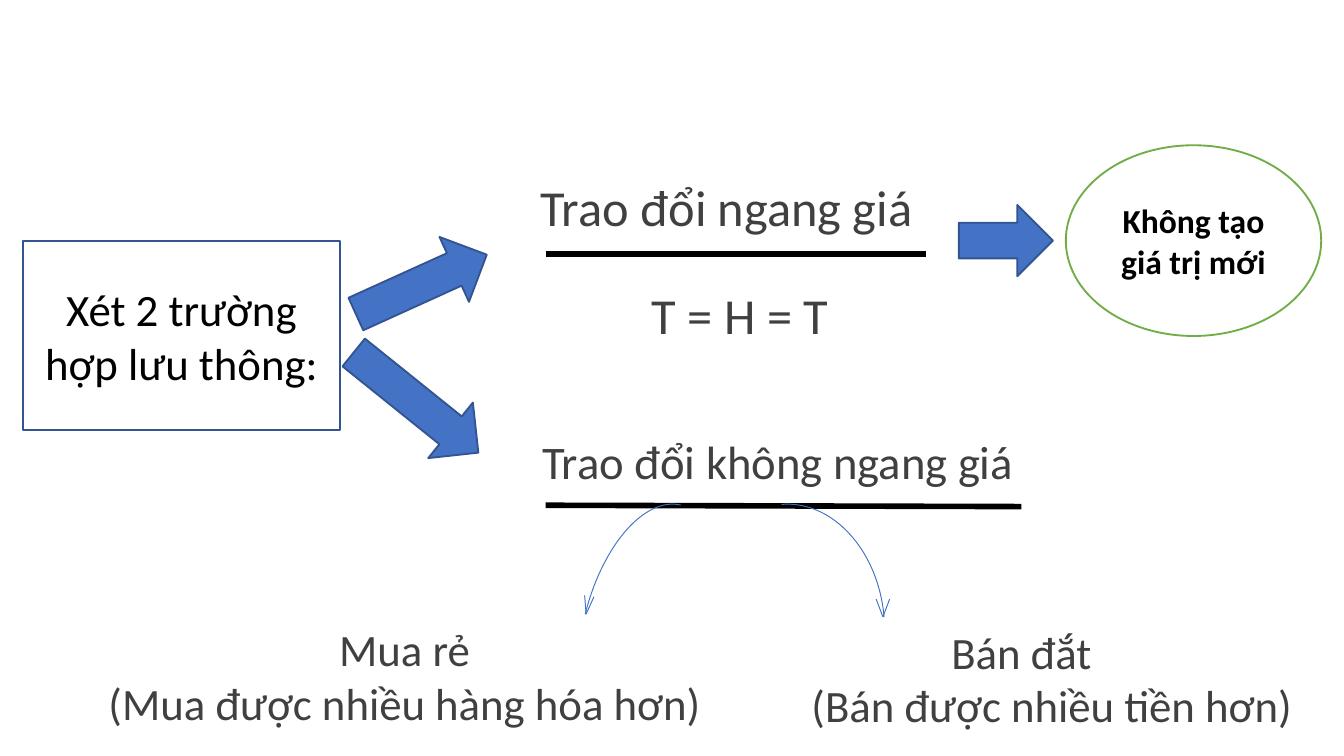
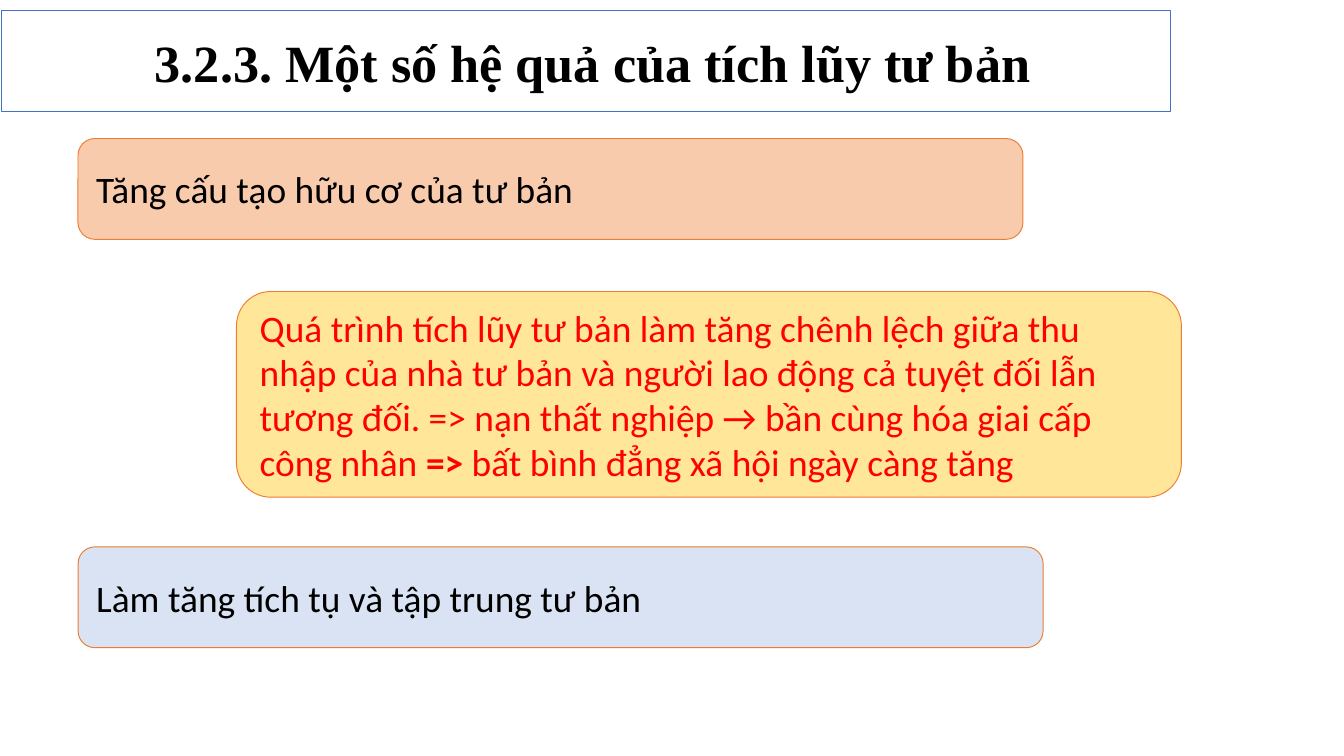
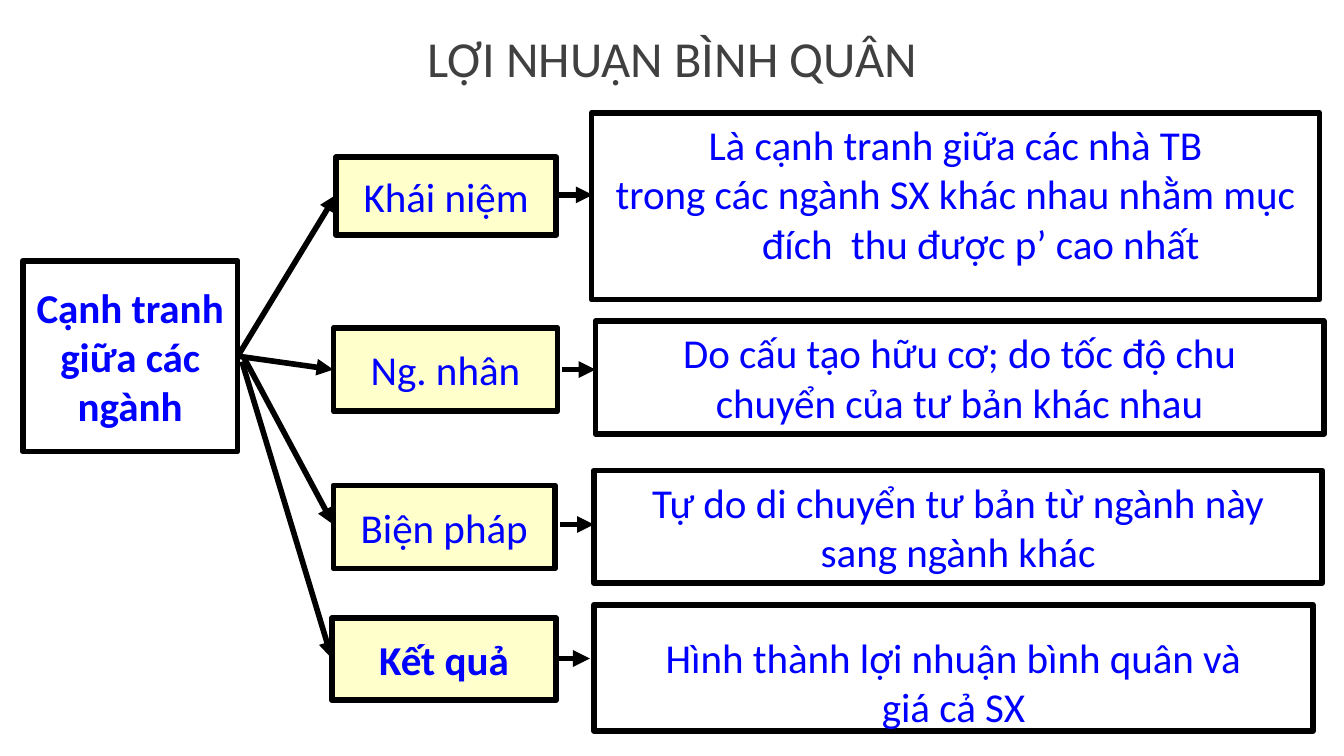
from dataclasses import dataclass
from typing import NamedTuple

from pptx import Presentation
from pptx.dml.color import RGBColor
from pptx.enum.shapes import MSO_CONNECTOR as Connector, MSO_SHAPE as Preset
from pptx.enum.text import MSO_ANCHOR as Anchor, MSO_AUTO_SIZE as AutoSize, PP_ALIGN as Align
from pptx.oxml.ns import qn
from pptx.util import Pt
from lxml.etree import SubElement

# Shared colours and fonts
BLACK = RGBColor(0x00, 0x00, 0x00)
WHITE = RGBColor(0xFF, 0xFF, 0xFF)
GRAY = RGBColor(0x40, 0x40, 0x40)
BLUE = RGBColor(0x44, 0x72, 0xC4)
DARK_BLUE = RGBColor(0x32, 0x54, 0x91)
PURE_BLUE = RGBColor(0x00, 0x00, 0xFF)
GREEN = RGBColor(0x70, 0xAD, 0x47)
ORANGE = RGBColor(0xED, 0x7D, 0x31)
PEACH = RGBColor(0xF8, 0xCB, 0xAD)
PALE_BLUE = RGBColor(0xDA, 0xE3, 0xF3)
GOLD = RGBColor(0xFF, 0xE6, 0x99)
CREAM = RGBColor(0xFF, 0xFF, 0xCC)
RED = RGBColor(0xFF, 0x00, 0x00)
FONT = "Calibri"
TITLE_FONT = "Times New Roman"

TITLE_AND_BODY, TITLE_ONLY = 1, 5


class Box(NamedTuple):
    left: float
    top: float
    width: float
    height: float


class Point(NamedTuple):
    x: float
    y: float


class Segment(NamedTuple):
    text: str
    bold: bool = False


@dataclass
class Curve:
    box: Box
    rotation: float
    mirrored: bool
    tip: Point
    barbs: tuple[Point, Point]


@dataclass
class Consequence:
    box: Box
    fill: RGBColor
    lines: list
    color: RGBColor = BLACK
    align: Align = Align.JUSTIFY


@dataclass
class Aspect:
    name: str
    label: Box
    detail: Box
    lines: list[str]
    link_y: float
    link_start: float
    link_end: float
    fan_start: Point
    bold: bool = False
    hanging: float = 0
    top_inset: float = 3.6
    bottom_inset: float = 3.6
    anchor: Anchor = Anchor.TOP


# Drawing functions
def write_text(shape, lines: list, *, size: float, color: RGBColor = BLACK, font: str = FONT,
               bold: bool = False, align: Align = Align.CENTER, anchor: Anchor = Anchor.MIDDLE,
               spacing: float = 1.0, indents: tuple = (), first_indent: float = 0,
               wrap: bool = True, insets: tuple = (7.2, 3.6, 7.2, 3.6)) -> None:
    """Fill a shape; each line is a string or a tuple of segments."""
    frame = shape.text_frame
    frame.auto_size = AutoSize.NONE
    frame.word_wrap = wrap
    frame.vertical_anchor = anchor
    (frame.margin_left, frame.margin_top,
     frame.margin_right, frame.margin_bottom) = map(Pt, insets)
    for index, line in enumerate(lines):
        paragraph = frame.add_paragraph() if index else frame.paragraphs[0]
        paragraph.alignment = align
        paragraph.line_spacing = spacing
        paragraph.space_before = Pt(0)
        properties = paragraph._p.get_or_add_pPr()
        properties.set("marL", str(Pt(indents[index] if indents else 0)))
        properties.set("indent", str(Pt(first_indent)))
        SubElement(properties, qn("a:buNone"))
        segments = (Segment(line, bold),) if isinstance(line, str) else line
        for segment in segments:
            run = paragraph.add_run()
            run.text = segment.text
            run.font.name = font
            run.font.size = Pt(size)
            run.font.bold = segment.bold
            run.font.color.rgb = color


def place(shape, box: Box) -> None:
    shape.left, shape.top, shape.width, shape.height = map(Pt, box)


def add_preset(shapes, preset: Preset, box: Box, *, line: RGBColor, weight: float,
               fill: RGBColor | None = None, rotation: float = 0):
    shape = shapes.add_shape(preset, *map(Pt, box))
    shape.shadow.inherit = False
    shape.rotation = rotation
    if fill is None:
        shape.fill.background()
    else:
        shape.fill.solid()
        shape.fill.fore_color.rgb = fill
    shape.line.color.rgb = line
    shape.line.width = Pt(weight)
    return shape


def add_line(shapes, start: Point, end: Point, *, color: RGBColor = BLACK,
             weight: float = 3, arrow: bool = False) -> None:
    connector = shapes.add_connector(Connector.STRAIGHT, *map(Pt, (*start, *end)))
    connector.line.color.rgb = color
    connector.line.width = Pt(weight)
    if arrow:
        SubElement(connector.line._get_or_add_ln(), qn("a:tailEnd"), type="triangle")
    SubElement(connector.element.spPr, qn("a:effectLst"))


def add_curve(slide, curve: Curve) -> None:
    shapes = slide.shapes.add_group_shape().shapes
    arc = add_preset(shapes, Preset.ARC, curve.box, line=BLUE, weight=0.5,
                     rotation=curve.rotation)
    if curve.mirrored:
        arc.element.spPr.find(qn("a:xfrm")).set("flipH", "1")
    for barb in curve.barbs:
        add_line(shapes, barb, curve.tip, color=BLUE, weight=0.5)


def add_note(slide, box: Box, lines: list[str], **text_format) -> None:
    textbox = slide.shapes.add_textbox(*map(Pt, box))
    write_text(textbox, lines, color=GRAY, **text_format)


# Slide 1: two cases of circulation
def build_circulation(presentation) -> None:
    slide = presentation.slides.add_slide(presentation.slide_layouts[TITLE_AND_BODY])
    shapes = slide.shapes
    title = shapes.title.element
    title.getparent().remove(title)

    cases = add_preset(shapes, Preset.RECTANGLE, Box(12.2, 129, 170, 101.5),
                       line=DARK_BLUE, weight=1)
    write_text(cases, ["Xét 2 trường", "hợp lưu thông:"], size=24)
    result = add_preset(shapes, Preset.OVAL, Box(571, 77.8, 136.8, 102.2),
                        line=GREEN, weight=1, fill=WHITE)
    write_text(result, ["Không tạo giá trị mới"], size=18, bold=True)

    for box, rotation in ((Box(206.6, 113.8, 38.2, 77), 245.6),
                          (Box(203.8, 172.8, 38.2, 85.7), 308.8),
                          (Box(519.8, 103.7, 38.2, 50.4), 270)):
        add_preset(shapes, Preset.DOWN_ARROW, box, line=DARK_BLUE, weight=1,
                   fill=BLUE, rotation=rotation)

    # Headings with their underlines
    equal = slide.placeholders[1]
    place(equal, Box(268.6, 90, 241.2, 45.4))
    write_text(equal, ["Trao đổi ngang giá"], size=27, color=GRAY, spacing=0.9)
    add_note(slide, Box(275.8, 147.6, 241.2, 45.4), ["T = H = T"], size=27, spacing=0.9)
    add_note(slide, Box(268.6, 226, 296, 45.4), ["Trao đổi không ngang giá"],
             size=25, spacing=0.9)
    add_line(shapes, Point(292.3, 136), Point(496, 136))
    add_line(shapes, Point(292.3, 270.7), Point(547.2, 271.4))

    # Curved arrows to the two outcomes
    add_curve(slide, Curve(Box(374.4, 270, 99.4, 129.6), 355.2, False, Point(473, 330.5),
                           (Point(469.4, 321), Point(476.6, 321))))
    add_curve(slide, Curve(Box(312.5, 268.6, 71.3, 138.2), 13.9, True, Point(314, 329),
                           (Point(318.2, 319.7), Point(313.2, 319))))
    add_note(slide, Box(33.1, 339.1, 367.2, 45.4),
             ["Mua rẻ", "(Mua được nhiều hàng hóa hơn)"], size=24)
    add_note(slide, Box(363.6, 340.6, 367.2, 45.4),
             ["Bán đắt", "(Bán được nhiều tiền hơn)"], size=24, indents=(0, 32.5))


# Slide 2: consequences of capital accumulation
CONSEQUENCES = [
    Consequence(Box(41.8, 74.2, 506.2, 54), PEACH, ["Tăng cấu tạo hữu cơ của tư bản"]),
    Consequence(Box(41.8, 293, 517, 54), PALE_BLUE, ["Làm tăng tích tụ và tập trung tư bản"]),
    Consequence(Box(126.7, 156.2, 506.2, 110.2), GOLD, [
        "Quá trình tích lũy tư bản làm tăng chênh lệch giữa thu",
        "nhập của nhà tư bản và người lao động cả tuyệt đối lẫn",
        "tương đối. => nạn thất nghiệp → bần cùng hóa giai cấp",
        (Segment("công nhân "), Segment("=> ", True),
         Segment("bất bình đẳng xã hội ngày càng tăng")),
    ], RED, Align.LEFT),
]


def build_consequences(presentation) -> None:
    slide = presentation.slides.add_slide(presentation.slide_layouts[TITLE_ONLY])
    title = slide.shapes.title
    place(title, Box(0.7, 5.8, 626.4, 54))
    title.line.color.rgb = BLUE
    title.line.width = Pt(0.5)
    write_text(title, ["3.2.3. Một số hệ quả của tích lũy tư bản"], size=28,
               font=TITLE_FONT, bold=True, indents=(7,))
    for item in CONSEQUENCES:
        panel = add_preset(slide.shapes, Preset.FLOWCHART_ALTERNATE_PROCESS, item.box,
                           line=ORANGE, weight=0.5, fill=item.fill)
        write_text(panel, item.lines, size=20, color=item.color, align=item.align)


# Slide 3: average profit
ASPECTS = [
    Aspect("Khái niệm", Box(180, 84.2, 118, 41.8), Box(316.8, 60.5, 390.2, 100),
           ["Là cạnh tranh giữa các nhà TB",
            "trong các ngành SX khác nhau nhằm mục đích  thu được p’ cao nhất"],
           104.4, 299.5, 317.5, Point(127.4, 190.8), hanging=27),
    Aspect("Ng. nhân", Box(178.6, 175.7, 120.2, 44.6), Box(319, 172.1, 390.2, 60.5),
           ["Do cấu tạo hữu cơ; do tốc độ chu", "chuyển của tư bản khác nhau"],
           198, 301, 319, Point(127.4, 190.8)),
    Aspect("Biện pháp", Box(178.6, 260, 118.8, 44.6), Box(318.2, 252, 390.2, 60.5),
           ["Tự do di chuyển tư bản từ ngành này", "sang ngành khác"],
           281, 300.2, 318.2, Point(130.3, 190.8)),
    Aspect("Kết quả", Box(177.8, 331.2, 120.2, 44), Box(318.2, 324, 385.2, 67.7),
           ["Hình thành lợi nhuận bình quân và", "giá cả SX"],
           352.8, 296, 316, Point(129.6, 193.7), bold=True,
           top_inset=14.4, bottom_inset=0, anchor=Anchor.MIDDLE),
]


def build_average_profit(presentation) -> None:
    slide = presentation.slides.add_slide(presentation.slide_layouts[TITLE_ONLY])
    shapes = slide.shapes
    place(shapes.title, Box(0, 10, 720, 45.4))
    write_text(shapes.title, ["LỢI NHUẬN BÌNH QUÂN"], size=27, color=GRAY, spacing=0.9)

    def add_box(box: Box, fill: RGBColor, lines: list[str], **text_format) -> None:
        shape = add_preset(shapes, Preset.RECTANGLE, box, line=BLACK, weight=3, fill=fill)
        write_text(shape, lines, size=22, color=PURE_BLUE, **text_format)

    add_box(Box(12.2, 139.7, 115.2, 102.2), WHITE,
            ["Cạnh tranh", "giữa các", "ngành"], bold=True, wrap=False)
    for aspect in ASPECTS:
        add_box(aspect.detail, WHITE, aspect.lines, anchor=aspect.anchor,
                indents=(aspect.hanging,) * len(aspect.lines), first_indent=-aspect.hanging,
                insets=(7.2, aspect.top_inset, 7.2, aspect.bottom_inset))
        add_box(aspect.label, CREAM, [aspect.name], bold=aspect.bold, wrap=False)
        add_line(shapes, aspect.fan_start, Point(aspect.label.left, aspect.link_y), arrow=True)
        add_line(shapes, Point(aspect.link_start, aspect.link_y),
                 Point(aspect.link_end, aspect.link_y), arrow=True)


def main() -> None:
    presentation = Presentation()
    presentation.slide_width, presentation.slide_height = Pt(720), Pt(405)
    build_circulation(presentation)
    build_consequences(presentation)
    build_average_profit(presentation)
    presentation.save("out.pptx")


if __name__ == "__main__":
    main()
